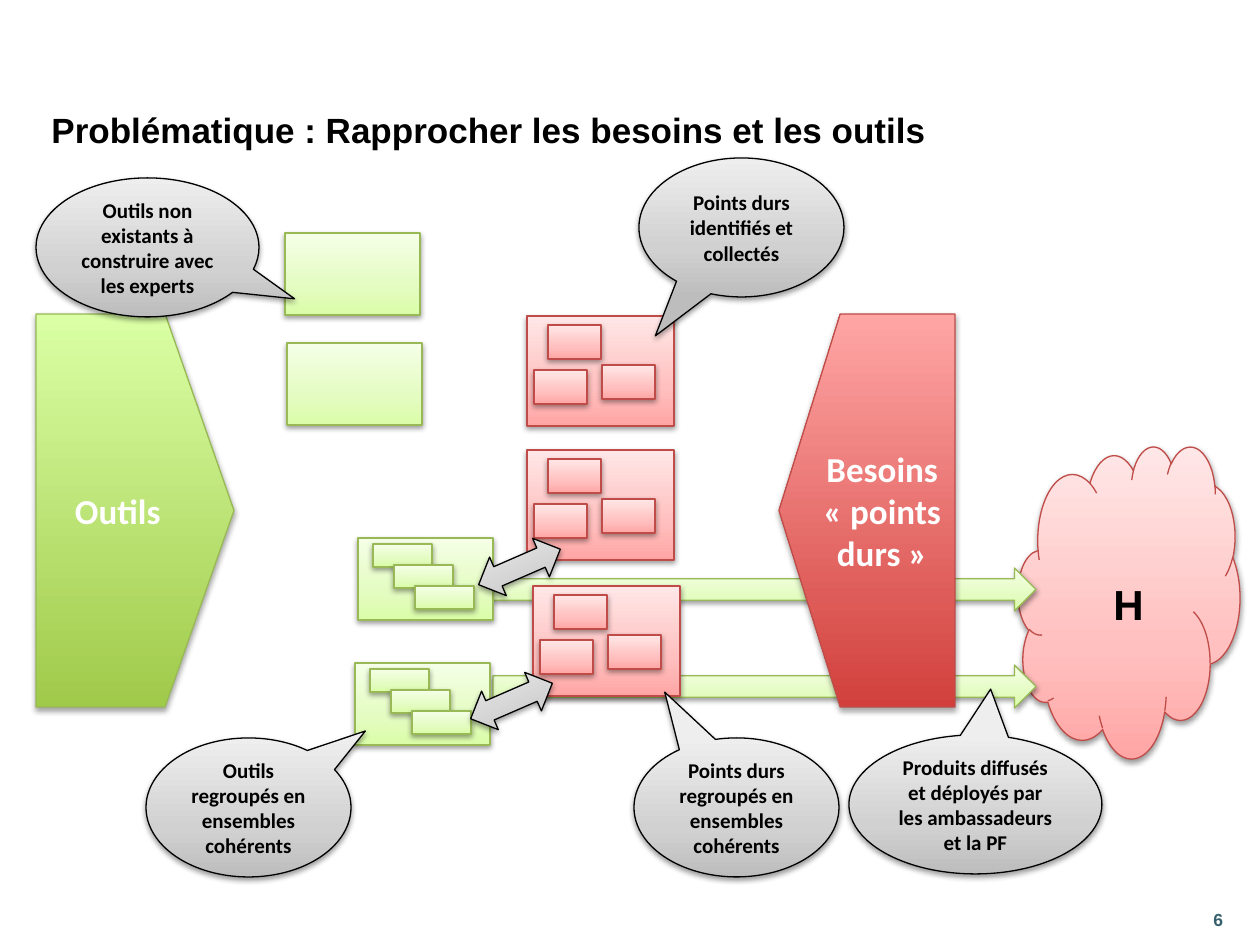
from dataclasses import dataclass

from lxml.etree import SubElement
from pptx import Presentation
from pptx.dml.color import RGBColor
from pptx.enum.shapes import MSO_SHAPE
from pptx.enum.text import MSO_ANCHOR, PP_ALIGN
from pptx.oxml.ns import qn
from pptx.util import Emu, Pt

RECT = MSO_SHAPE.RECTANGLE
CLOUD = MSO_SHAPE.CLOUD
ARROW = MSO_SHAPE.RIGHT_ARROW
DOUBLE = MSO_SHAPE.LEFT_RIGHT_ARROW
PLATE = MSO_SHAPE.PENTAGON
BUBBLE = MSO_SHAPE.OVAL_CALLOUT
MIDDLE, TOP = MSO_ANCHOR.MIDDLE, MSO_ANCHOR.TOP
CENTER, LEFT = PP_ALIGN.CENTER, PP_ALIGN.LEFT

SCALE = 914400 / 126


@dataclass(frozen=True)
class Look:
    """Fill stops from bottom to top, then the line colour."""
    stops: tuple
    line: str
    alpha: int = 38000
    drop: int = 20000


@dataclass(frozen=True)
class Theme:
    green = Look(((0, "DAFDA7"), (35, "E4FCC2"), (100, "F5FFE7")), "98B955")
    pink = Look(((0, "FFA6A5"), (35, "FFC0BF"), (100, "FFE7E7")), "BF4C48")
    gray = Look(((0, "BDBDBD"), (35, "D1D1D1"), (100, "EEEEEE")), "000000")
    lime = Look(((0, "A0CA4A"), (100, "DAFFA5")), "98B955", 35000, 23000)
    red = Look(((0, "D1403C"), (100, "FFA6A5")), "BF4C48", 35000, 23000)
    black, white, teal = "000000", "FFFFFF", "36616C"
    head, body = "Arial", "Calibri"
    title, label, big, note, page = 20, 20, 24, 12, 10


THEME = Theme()


def px(value):
    return Emu(round(value * SCALE))


def paint(shape, look):
    shape.fill.gradient()
    shape.fill.gradient_angle = 90
    stops = shape._element.spPr.find(qn("a:gradFill")).find(qn("a:gsLst"))
    for old in list(stops):
        stops.remove(old)
    for place, color in look.stops:
        stop = SubElement(stops, qn("a:gs"), pos=str(place * 1000))
        SubElement(stop, qn("a:srgbClr"), val=color)
    shape.line.color.rgb = RGBColor.from_string(look.line)
    shape.line.width = Pt(0.75)
    shape.shadow.inherit = False
    effects = shape._element.spPr.find(qn("a:effectLst"))
    shade = SubElement(effects, qn("a:outerShdw"), blurRad="40000",
                       dist=str(look.drop), dir="5400000", rotWithShape="0")
    tint = SubElement(shade, qn("a:srgbClr"), val="000000")
    SubElement(tint, qn("a:alpha"), val=str(look.alpha))


def draw(shapes, kind, box, look, adjust=()):
    shape = shapes.add_shape(kind, *map(px, box))
    for index, value in enumerate(adjust):
        shape.adjustments[index] = value
    paint(shape, look)
    return shape


def write(shape, text, size, font, color, align=CENTER, anchor=MIDDLE):
    frame = shape.text_frame
    frame.word_wrap = True
    frame.vertical_anchor = anchor
    para = frame.paragraphs[0]
    para.text = text
    para.alignment = align
    para.font.size = Pt(size)
    para.font.name = font
    para.font.bold = True
    para.font.color.rgb = RGBColor.from_string(color)


def label(shapes, box, text, size, color, anchor=MIDDLE):
    area = shapes.add_textbox(*map(px, box))
    write(area, text, size, THEME.head, color, LEFT, anchor)


def plate(shapes, box, text, look, flip=False):
    shape = draw(shapes, PLATE, box, look, [0.348])
    if flip:
        shape._element.spPr.find(qn("a:xfrm")).set("flipH", "1")
    write(shape, text, THEME.label, THEME.body, THEME.white)


def cluster(shapes, box, look, size, spots):
    """Draw a frame with small boxes of one size at spots inside it."""
    group = shapes.add_group_shape().shapes
    draw(group, RECT, box, look)
    for left, top in spots:
        draw(group, RECT, (box[0] + left, box[1] + top, *size), look)


def needs(shapes, box):
    cluster(shapes, box, THEME.pink, (53, 34), [(21, 9), (75, 49), (7, 54)])


def tools(shapes, box):
    steps = [(15 + 21 * i, 6 + 21 * i) for i in range(3)]
    cluster(shapes, box, THEME.green, (59, 23), steps)


def link(shapes, box):
    draw(shapes, DOUBLE, box, THEME.gray).rotation = 336.5


def callout(shapes, box, text, tip):
    shape = draw(shapes, BUBBLE, box, THEME.gray, tip)
    write(shape, text, THEME.note, THEME.body, THEME.black)


def main():
    deck = Presentation()
    deck.slide_width, deck.slide_height = px(1260), px(945)
    shapes = deck.slides.add_slide(deck.slide_layouts[6]).shapes

    label(shapes, (1201, 895, 59, 50), "6", THEME.page, THEME.teal)
    draw(shapes, CLOUD, (1018, 446, 222, 312), THEME.pink)
    for top in (665, 568):
        draw(shapes, ARROW, (493, top, 543, 43), THEME.green)
    label(shapes, (39, 98, 1203, 62),
          "Problématique : Rapprocher les besoins et les outils",
          THEME.title, THEME.black)

    plate(shapes, (36, 314, 198, 393), "Outils", THEME.lime)
    plate(shapes, (779, 314, 176, 393), "Besoins « points durs »",
          THEME.red, flip=True)

    for left, top in ((533, 586), (527, 450), (527, 316)):
        needs(shapes, (left, top, 147, 110))
    for left, top in ((358, 538), (355, 663)):
        tools(shapes, (left, top, 135, 82))
    for left, top in ((467, 680), (475, 546)):
        link(shapes, (left, top, 89, 42))
    for left, top in ((287, 343), (285, 233)):
        draw(shapes, RECT, (left, top, 135, 82), THEME.green)

    notes = [
        ((146, 738, 205, 139), "Outils regroupés en ensembles cohérents",
         (0.57, -0.55)),
        ((634, 738, 205, 139), "Points durs regroupés en ensembles cohérents",
         (-0.35, -0.83)),
        ((36, 178, 223, 139),
         "Outils non existants à construire avec les experts", (0.66, 0.37)),
        ((639, 158, 205, 139), "Points durs identifiés et collectés",
         (-0.42, 0.78)),
        ((849, 735, 253, 139),
         "Produits diffusés et déployés par les ambassadeurs et la PF",
         (0.06, -0.83)),
    ]
    for box, text, tip in notes:
        callout(shapes, box, text, tip)
    label(shapes, (1101, 572, 57, 63), "H", THEME.big, THEME.black, TOP)

    deck.save("out.pptx")


if __name__ == "__main__":
    main()
